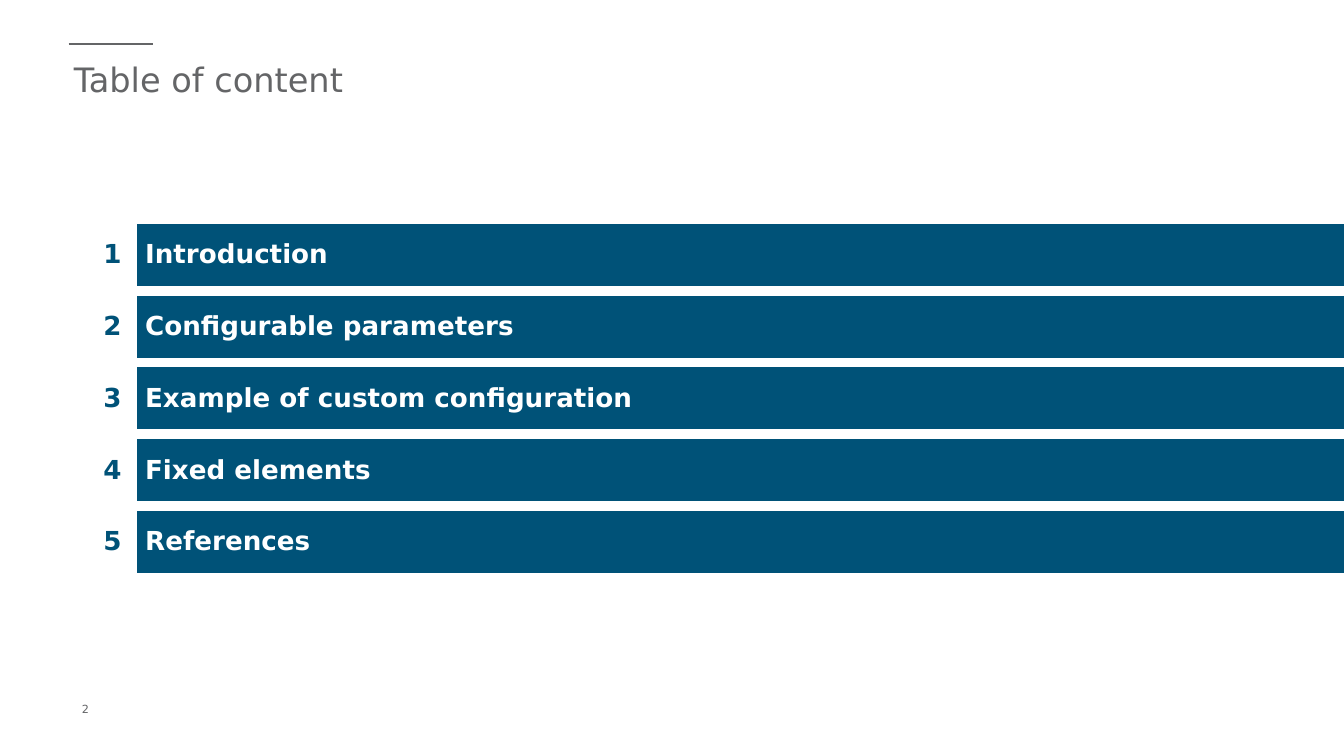
from pptx import Presentation
from pptx.dml.color import RGBColor
from pptx.enum.shapes import MSO_CONNECTOR
from pptx.enum.text import MSO_ANCHOR, PP_ALIGN
from pptx.oxml import parse_xml
from pptx.oxml.ns import nsdecls, qn
from pptx.util import Inches, Pt
from lxml.etree import SubElement

FONT = "DejaVu Sans"
HUES = {"grey": "646567", "blue": "005278", "white": "FFFFFF"}
TOPICS = [
    "Introduction",
    "Configurable parameters",
    "Example of custom configuration",
    "Fixed elements",
    "References",
]


def write(frame, text, size, hue, bold=False, align=PP_ALIGN.LEFT):
    para = frame.paragraphs[0]
    para.alignment = align
    run = para.add_run()
    run.text = text
    run.font.name = FONT
    run.font.size = Pt(size)
    run.font.bold = bold
    run.font.color.rgb = RGBColor.from_string(HUES[hue])


def paint(cell, hue):
    cell.fill.solid()
    cell.fill.fore_color.rgb = RGBColor.from_string(HUES[hue])
    props = cell._tc.get_or_add_tcPr()
    for spot, side in enumerate(("lnL", "lnR", "lnT", "lnB")):
        edge = parse_xml(
            f'<a:{side} {nsdecls("a")} w="{Pt(6)}"><a:solidFill>'
            f'<a:srgbClr val="{HUES["white"]}"/></a:solidFill></a:{side}>'
        )
        props.insert(spot, edge)


deck = Presentation()
deck.slide_width = Inches(10)
deck.slide_height = Inches(10) * 9 // 16
slide = deck.slides.add_slide(deck.slide_layouts[5])
shapes = slide.shapes

rule = shapes.add_connector(
    MSO_CONNECTOR.STRAIGHT, Inches(0.51), Inches(0.33), Inches(1.14), Inches(0.33)
)
rule.line.color.rgb = RGBColor.from_string(HUES["grey"])
rule.line.width = Pt(1)
SubElement(rule._element.spPr, qn("a:effectLst"))

title = shapes.title
title.left, title.top = Inches(0.51), Inches(0.39)
title.width, title.height = Inches(8.99), Inches(0.77)
frame = title.text_frame
frame.margin_left = frame.margin_right = Inches(0.04)
frame.margin_top = frame.margin_bottom = Inches(0.05)
frame.vertical_anchor = MSO_ANCHOR.TOP
write(frame, "Table of content", 18, "grey")

table = shapes.add_table(
    len(TOPICS), 2, Inches(0.67), Inches(1.63), Inches(9.53), Inches(2.67)
).table
table.first_row = table.horz_banding = False
table.columns[0].width = Inches(0.31)
table.columns[1].width = Inches(9.21)
for row, topic in enumerate(TOPICS):
    num, name = table.cell(row, 0), table.cell(row, 1)
    paint(num, "white")
    paint(name, "blue")
    num.vertical_anchor = name.vertical_anchor = MSO_ANCHOR.MIDDLE
    write(num.text_frame, str(row + 1), 14, "blue", True, PP_ALIGN.RIGHT)
    write(name.text_frame, topic, 14, "white", True)

page = shapes.add_textbox(Inches(0.51), Inches(5.18), Inches(1.02), Inches(0.24))
page.text_frame.word_wrap = True
write(page.text_frame, "2", 6, "grey")

deck.save("out.pptx")
